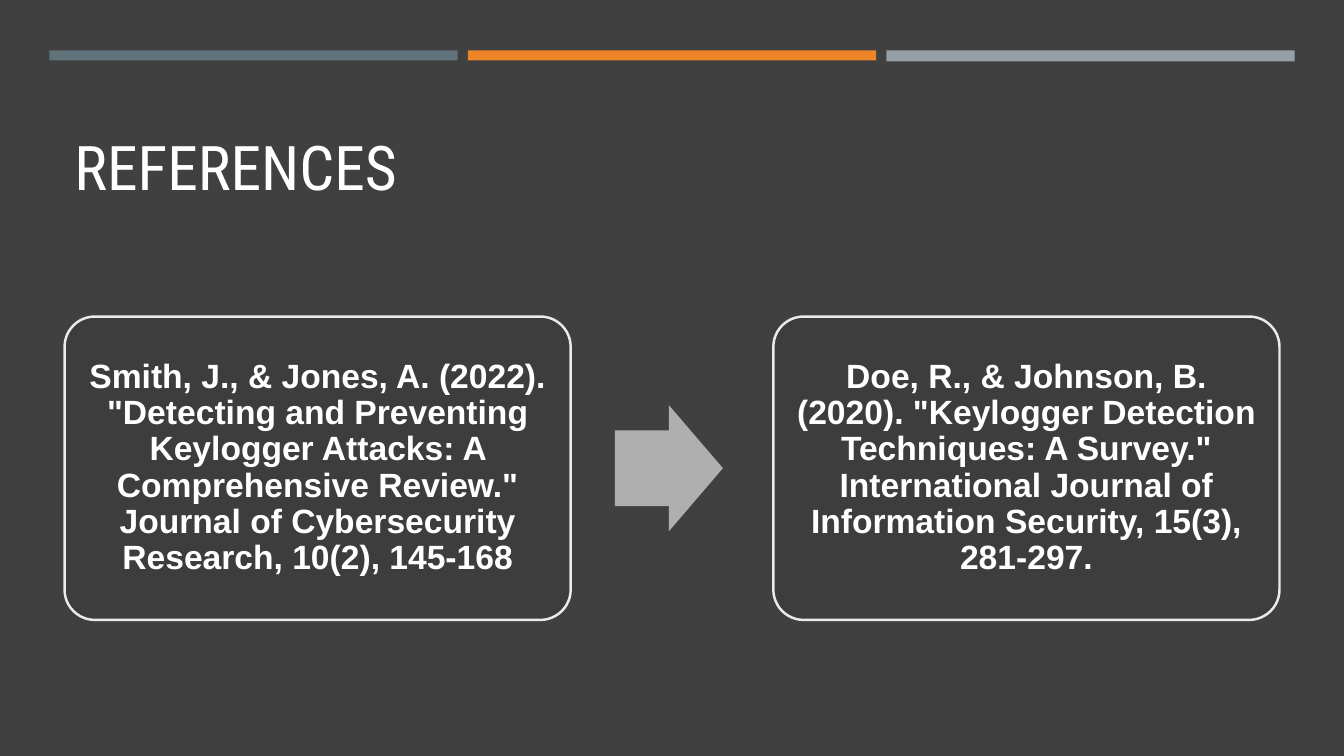
from pptx import Presentation
from pptx.dml.color import RGBColor
from pptx.enum import shapes, text
from pptx.util import Inches, Pt

HEADING = "REFERENCES"
REFERENCES = [
    'Smith, J., & Jones, A. (2022). "Detecting and Preventing Keylogger Attacks: '
    'A Comprehensive Review." Journal of Cybersecurity Research, 10(2), 145-168',
    'Doe, R., & Johnson, B. (2020). "Keylogger Detection Techniques: A Survey." '
    'International Journal of Information Security, 15(3), 281-297.',
]

CHARCOAL = RGBColor(0x40, 0x40, 0x40)
CARD_FILL = RGBColor(0x3D, 0x3D, 0x3D)
CARD_EDGE = RGBColor(0xEB, 0xEB, 0xEB)
ARROW_GREY = RGBColor(0xAF, 0xAF, 0xAF)
WHITE = RGBColor(0xFF, 0xFF, 0xFF)
STRIPES = [
    (RGBColor(0x60, 0x72, 0x7A), 0.1),
    (RGBColor(0xED, 0x84, 0x28), 0.1),
    (RGBColor(0x96, 0x9F, 0xA7), 0.11),
]

MARGIN = 0.64
STRIPE_LEFT, STRIPE_TOP, STRIPE_WIDTH, STRIPE_STEP = 0.49, 0.5, 4.05, 4.15
CARD_TOP, CARD_WIDTH, CARD_HEIGHT, CARD_STEP = 3.14, 5.02, 3.01, 7.03
ARROW_LEFT, ARROW_WIDTH, ARROW_HEIGHT = 6.1, 1.07, 1.25

deck = Presentation()
deck.slide_width, deck.slide_height = Inches(13.33), Inches(7.5)
slide = deck.slides.add_slide(deck.slide_layouts[6])
slide.background.fill.solid()
slide.background.fill.fore_color.rgb = CHARCOAL


def add_block(preset, left, top, width, height, fill):
    block = slide.shapes.add_shape(
        preset, Inches(left), Inches(top), Inches(width), Inches(height))
    block.shadow.inherit = False
    block.fill.solid()
    block.fill.fore_color.rgb = fill
    block.line.fill.background()
    return block


def write(frame, wording, font, size, bold, align, anchor):
    frame.word_wrap = True
    frame.vertical_anchor = anchor
    frame.text = wording
    line = frame.paragraphs[0]
    line.alignment = align
    line.line_spacing = 0.9
    style = line.runs[0].font
    style.name, style.size, style.bold = font, Pt(size), bold
    style.color.rgb = WHITE


heading = slide.shapes.add_textbox(
    Inches(MARGIN), Inches(0.77), Inches(12.06), Inches(1.3))
write(heading.text_frame, HEADING, "Roboto Condensed", 44, False,
      text.PP_ALIGN.LEFT, text.MSO_ANCHOR.BOTTOM)

for i, (colour, height) in enumerate(STRIPES):
    add_block(shapes.MSO_SHAPE.RECTANGLE, STRIPE_LEFT + i * STRIPE_STEP,
              STRIPE_TOP, STRIPE_WIDTH, height, colour)

for i, reference in enumerate(REFERENCES):
    card = add_block(shapes.MSO_SHAPE.ROUNDED_RECTANGLE, MARGIN + i * CARD_STEP,
                     CARD_TOP, CARD_WIDTH, CARD_HEIGHT, CARD_FILL)
    card.adjustments[0] = 0.1
    card.line.color.rgb = CARD_EDGE
    card.line.width = Pt(1.75)
    frame = card.text_frame
    frame.margin_left = frame.margin_right = Inches(0.1)
    frame.margin_top = frame.margin_bottom = Inches(0.1)
    write(frame, reference, "Arial", 24, True,
          text.PP_ALIGN.CENTER, text.MSO_ANCHOR.MIDDLE)

arrow_top = CARD_TOP + (CARD_HEIGHT - ARROW_HEIGHT) / 2
arrow = add_block(shapes.MSO_SHAPE.RIGHT_ARROW, ARROW_LEFT, arrow_top,
                  ARROW_WIDTH, ARROW_HEIGHT, ARROW_GREY)
arrow.adjustments[0] = 0.6
arrow.adjustments[1] = 0.5

deck.save("out.pptx")
